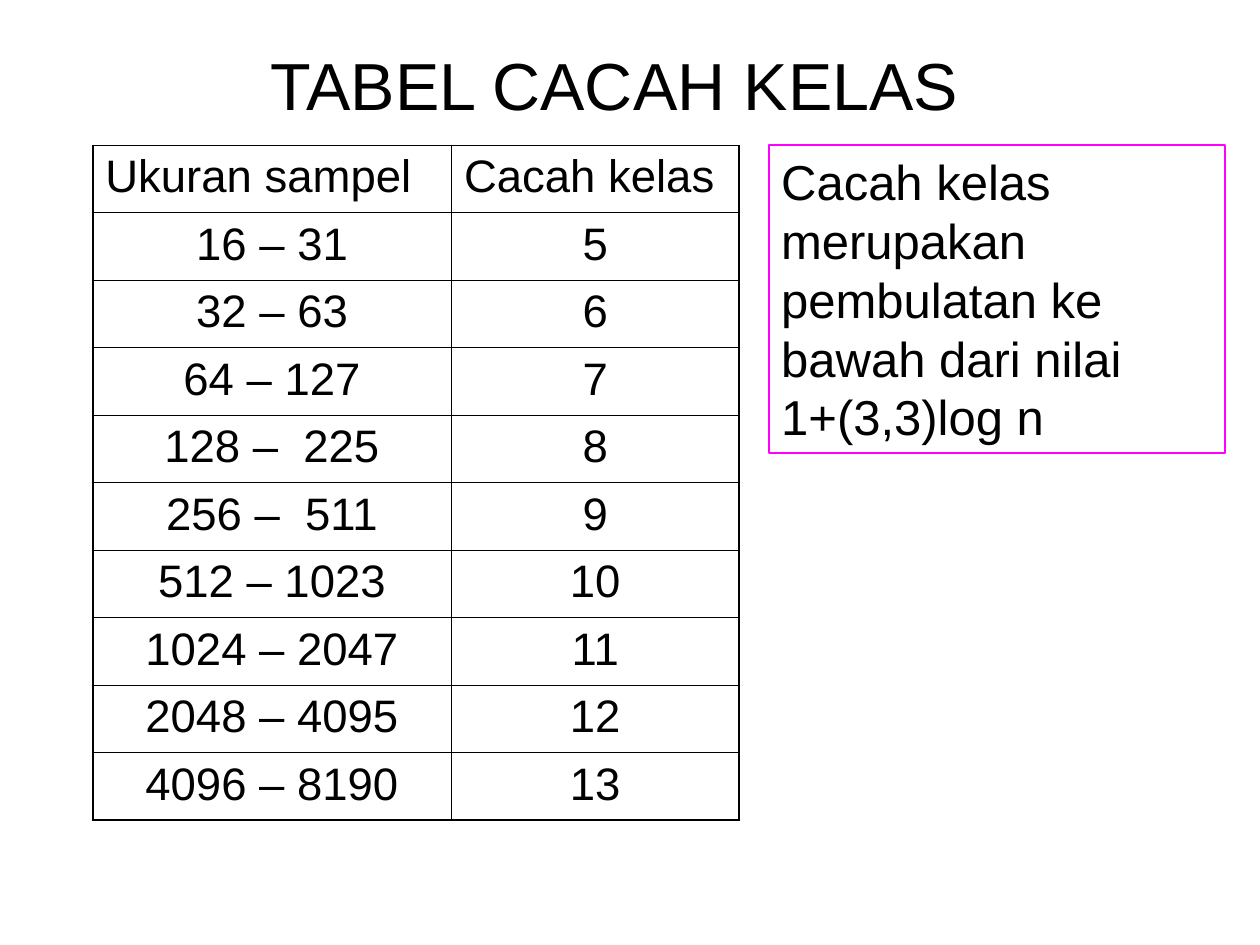
from lxml import etree
from pptx import Presentation
from pptx import util as u
from pptx.dml.color import RGBColor
from pptx.enum import shapes, text
from pptx.oxml import ns

COLORS = {"ink": "000000", "frame": "FF00FF"}
THIN, THICK = u.Pt(0.45), u.Pt(1.08)


def write(text_frame, words, size, alignment):
    text_frame.text = words
    text_frame.word_wrap = True
    paragraph = text_frame.paragraphs[0]
    paragraph.alignment = alignment
    font = paragraph.runs[0].font
    font.name = "Arial"
    font.size = u.Pt(size)
    font.color.rgb = RGBColor.from_string(COLORS["ink"])


def add_border(cell, side, width):
    """Draw one cell side; call in the order L, R, T, B."""
    properties = cell._tc.get_or_add_tcPr()
    line = etree.SubElement(properties, ns.qn(f"a:ln{side}"), w=str(width))
    fill = etree.SubElement(line, ns.qn("a:solidFill"))
    etree.SubElement(fill, ns.qn("a:srgbClr"), val=COLORS["ink"])


presentation = Presentation()
presentation.slide_width = u.Cm(25.4)
presentation.slide_height = u.Cm(19.05)
slide = presentation.slides.add_slide(presentation.slide_layouts[6])

# Title
title = slide.shapes.add_textbox(u.Cm(1.7), u.Cm(0.73), u.Cm(21.39), u.Cm(1.93))
write(title.text_frame, "TABEL CACAH KELAS", 38, text.PP_ALIGN.CENTER)
title.text_frame.vertical_anchor = text.MSO_ANCHOR.MIDDLE

# Class count table
content_top = u.Cm(2.93)
rows = [
    ("Ukuran sampel", "Cacah kelas"),
    ("16 – 31", "5"),
    ("32 – 63", "6"),
    ("64 – 127", "7"),
    ("128 –  225", "8"),
    ("256 –  511", "9"),
    ("512 – 1023", "10"),
    ("1024 – 2047", "11"),
    ("2048 – 4095", "12"),
    ("4096 – 8190", "13"),
]
column_widths = [u.Cm(7.23), u.Cm(5.8)]
row_height = u.Cm(1.36)
table = slide.shapes.add_table(
    len(rows), len(column_widths), u.Cm(1.87), content_top,
    sum(column_widths), row_height * len(rows)).table
table.first_row = False
table.horz_banding = False
for column, width in zip(table.columns, column_widths):
    column.width = width

last_row, last_column = len(rows) - 1, len(column_widths) - 1
for row_index, row in enumerate(rows):
    table.rows[row_index].height = row_height
    alignment = text.PP_ALIGN.CENTER if row_index else text.PP_ALIGN.LEFT
    for column_index, words in enumerate(row):
        cell = table.cell(row_index, column_index)
        write(cell.text_frame, words, 26, alignment)
        outer_sides = {
            "L": column_index == 0,
            "R": column_index == last_column,
            "T": row_index == 0,
            "B": row_index == last_row,
        }
        for side, is_outer in outer_sides.items():
            add_border(cell, side, THICK if is_outer else THIN)
        cell.fill.background()

# Framed rule
note = slide.shapes.add_shape(
    shapes.MSO_SHAPE.RECTANGLE, u.Cm(15.5), content_top, u.Cm(9.2), u.Cm(6.2))
note.shadow.inherit = False
note.fill.background()
note.line.color.rgb = RGBColor.from_string(COLORS["frame"])
note.line.width = u.Pt(1.25)
write(note.text_frame,
      "Cacah kelas merupakan pembulatan ke bawah dari nilai 1+(3,3)log n",
      28, text.PP_ALIGN.LEFT)
note.text_frame.vertical_anchor = text.MSO_ANCHOR.TOP

presentation.save("out.pptx")
